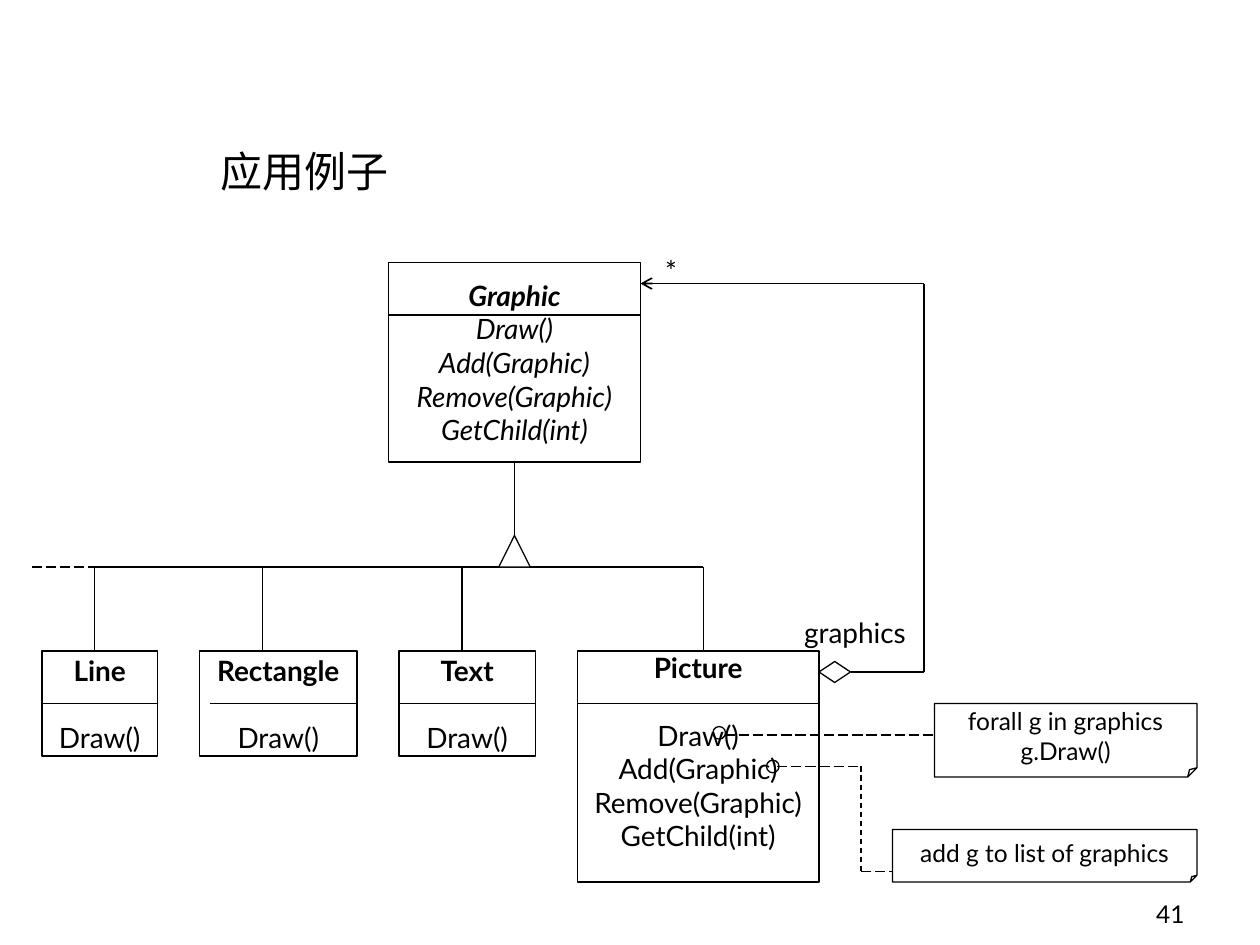
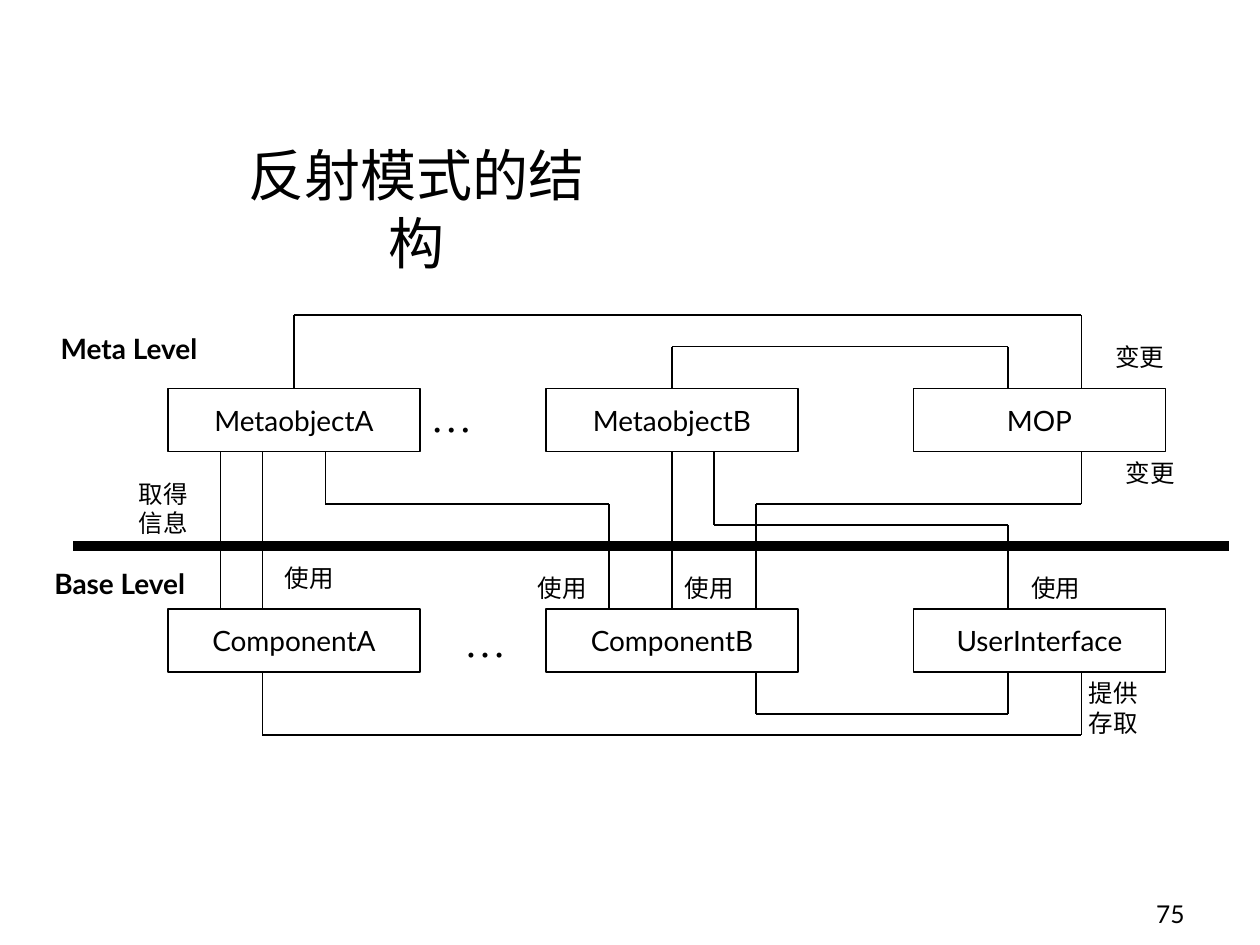
from itertools import pairwise

from lxml import etree
from pptx import Presentation
from pptx import util as u
from pptx.dml.color import RGBColor
from pptx.enum import dml, shapes, text
from pptx.oxml import ns

COLORS = {"ink": "000000", "paper": "FFFFFF"}
FONT = "Lato"
COLUMNS, ROWS = 120, 90
BODY, SMALL = 16, 14
BLANK_LINE = u.Pt(19.2)
KIND = shapes.MSO_SHAPE
DASH = dml.MSO_LINE
TOP, BOTTOM, RIGHT = 0, 2, 3

presentation = Presentation()
presentation.slide_width, presentation.slide_height = u.Inches(10), u.Inches(7.5)
CELL_WIDTH = presentation.slide_width / COLUMNS
CELL_HEIGHT = presentation.slide_height / ROWS


def add_item(slide, area, lines=(), size=BODY, kind=None, font=FONT,
             align=text.PP_ALIGN.CENTER, anchor=None):
    """Add an outlined shape of a kind, or a text box; area is column, row, columns, rows."""
    column, row, columns, rows = area
    place = [round(n) for n in (column * CELL_WIDTH, row * CELL_HEIGHT,
                                columns * CELL_WIDTH, rows * CELL_HEIGHT)]
    if kind is None:
        shape = slide.shapes.add_textbox(*place)
    else:
        shape = slide.shapes.add_shape(kind, *place)
        shape.shadow.inherit = False
        shape.fill.background()
        shape.line.color.rgb = RGBColor.from_string(COLORS["ink"])
        shape.line.width = u.Pt(0.75)
    if lines:
        frame = shape.text_frame
        frame.text = "\n".join(lines)
        frame.word_wrap = False
        frame.vertical_anchor = anchor or (text.MSO_ANCHOR.MIDDLE if kind else text.MSO_ANCHOR.TOP)
        for paragraph in frame.paragraphs:
            paragraph.alignment = align
            paragraph.font.size = u.Pt(size)
            paragraph.font.name = font
            paragraph.font.color.rgb = RGBColor.from_string(COLORS["ink"])
    return shape


def add_path(slide, points, width=0.75, dash=None, begin=None, end=None):
    """Join grid points by straight connectors; begin and end are (shape, site)."""
    connectors = []
    for (x1, y1), (x2, y2) in pairwise(points):
        connector = slide.shapes.add_connector(
            shapes.MSO_CONNECTOR.STRAIGHT, round(x1 * CELL_WIDTH), round(y1 * CELL_HEIGHT),
            round(x2 * CELL_WIDTH), round(y2 * CELL_HEIGHT))
        connector.line.color.rgb = RGBColor.from_string(COLORS["ink"])
        connector.line.width = u.Pt(width)
        if dash:
            connector.line.dash_style = dash
        etree.SubElement(connector._element.spPr, ns.qn("a:effectLst"))
        connectors.append(connector)
    if begin:
        connectors[0].begin_connect(*begin)
    if end:
        connectors[-1].end_connect(*end)
    return connectors


# Titles and page numbers
slides = []
for title, title_area, title_size, number in [
    ("应用例子", (19.8, 13.3, 18.4, 6), 24, "41"),
    ("反射模式的结构", (19.8, 12.84, 39.7, 7.5), 32, "75"),
]:
    slide = presentation.slides.add_slide(presentation.slide_layouts[6])
    add_item(slide, title_area, [title], title_size)
    page = add_item(slide, (89, 83, 25, 6), [number], SMALL,
                    align=text.PP_ALIGN.RIGHT, anchor=text.MSO_ANCHOR.BOTTOM)
    page.text_frame.word_wrap = True
    slides.append(slide)
composite, reflection = slides

# Composite: classes
operations = ["Draw()", "Add(Graphic)", "Remove(Graphic)", "GetChild(int)"]
graphic = add_item(composite, (37, 25, 24, 19), ["Graphic", *operations], kind=KIND.RECTANGLE)
for paragraph in graphic.text_frame.paragraphs:
    paragraph.font.italic = True
graphic.text_frame.paragraphs[0].font.bold = True
add_path(composite, [(37, 30), (61, 30)])

TREE_ROW, CLASS_ROW, DIVIDER_ROW = 54, 62, 67
for name, column, columns, rows, members, divider_column, branch_column in [
    ("Line", 4, 11, 10, operations[:1], 4, 9),
    ("Rectangle", 19, 15, 10, operations[:1], 20, 25),
    ("Text", 38, 13, 10, operations[:1], 38, 44),
    ("Picture", 55, 23, 22, operations, 55, 67),
]:
    box = add_item(composite, (column, CLASS_ROW, columns, rows), [name, *members],
                   kind=KIND.RECTANGLE)
    heading, first_member = box.text_frame.paragraphs[:2]
    heading.font.bold = True
    first_member.space_before = BLANK_LINE
    if members == operations:
        box.text_frame.vertical_anchor = text.MSO_ANCHOR.TOP
        box.text_frame.margin_top = 0
    add_path(composite, [(divider_column, DIVIDER_ROW), (column + columns, DIVIDER_ROW)])
    add_path(composite, [(branch_column, TREE_ROW), (branch_column, CLASS_ROW)])

# Composite: inheritance and aggregation
add_path(composite, [(9, TREE_ROW), (67, TREE_ROW)])
add_path(composite, [(3, TREE_ROW), (9, TREE_ROW)], dash=DASH.LONG_DASH)
triangle = add_item(composite, (47.5, 51, 3, 3), kind=KIND.FLOWCHART_EXTRACT)
triangle.fill.solid()
triangle.fill.fore_color.rgb = RGBColor.from_string(COLORS["paper"])
add_path(composite, [(49, 44), (49, 51)], begin=(graphic, BOTTOM), end=(triangle, TOP))

diamond = add_item(composite, (78, 63, 3, 2), kind=KIND.FLOWCHART_DECISION)
add_path(composite, [(81, 64), (88, 64), (88, 27)], begin=(diamond, RIGHT))
arrow = add_path(composite, [(88, 27), (61, 27)], width=1)[0]
arrow_line = arrow._element.spPr.find(ns.qn("a:ln"))
etree.SubElement(arrow_line, ns.qn("a:tailEnd"), type="arrow")
add_item(composite, (62, 23.6, 3.84, 4.4), ["*"])
add_item(composite, (75.4, 58, 12.6, 4.4), ["graphics"], align=text.PP_ALIGN.LEFT)

# Composite: notes
for area, lines in [
    ((89, 67, 25, 7), ["forall g in graphics", "g.Draw()"]),
    ((85, 79, 29, 5), ["add g to list of graphics"]),
]:
    note = add_item(composite, area, lines, SMALL, KIND.FOLDED_CORNER)
    geometry = note._element.spPr.find(ns.qn("a:prstGeom"))
    fold = geometry.find(ns.qn("a:avLst"))
    etree.SubElement(fold, ns.qn("a:gd"), name="adj", fmla="val 12500")
for column, row in [(67.9, 69.2), (73, 72.4)]:
    add_item(composite, (column, row, 1.2, 1.2), kind=KIND.FLOWCHART_CONNECTOR)
for points, dash in [
    ([(69, 70), (89, 70)], DASH.LONG_DASH),
    ([(74, 73), (82, 73)], DASH.LONG_DASH),
    ([(82, 73), (82, 83)], DASH.DASH),
    ([(82, 83), (85, 83)], DASH.LONG_DASH),
]:
    add_path(composite, points, dash=dash)

# Reflection: components on two levels
META_ROW, BASE_ROW, BOX_ROWS = 37, 58, 6
META_END, BASE_END = META_ROW + BOX_ROWS, BASE_ROW + BOX_ROWS
parts = {}
for row, names in [
    (META_ROW, ["MetaobjectA", "MetaobjectB", "MOP"]),
    (BASE_ROW, ["ComponentA", "ComponentB", "UserInterface"]),
]:
    for column, name in zip((16, 52, 87), names):
        parts[name] = add_item(reflection, (column, row, 24, BOX_ROWS), [name],
                               kind=KIND.RECTANGLE)

add_path(reflection, [(28, META_ROW), (28, 30), (103, 30), (103, META_ROW)],
         begin=(parts["MetaobjectA"], TOP))
add_path(reflection, [(64, META_ROW), (64, 33), (96, 33), (96, META_ROW)],
         begin=(parts["MetaobjectB"], TOP))
add_path(reflection, [(64, META_END), (64, BASE_ROW)],
         begin=(parts["MetaobjectB"], BOTTOM), end=(parts["ComponentB"], TOP))
for points in [
    [(21, META_END), (21, BASE_ROW)],
    [(25, META_END), (25, BASE_ROW)],
    [(31, META_END), (31, 48), (58, 48), (58, BASE_ROW)],
    [(68, META_END), (68, 50), (96, 50), (96, BASE_ROW)],
    [(103, META_END), (103, 48), (72, 48), (72, BASE_ROW)],
    [(25, BASE_END), (25, 70), (103, 70), (103, BASE_END)],
    [(72, BASE_END), (72, 68), (96, 68), (96, BASE_END)],
]:
    add_path(reflection, points)
add_path(reflection, [(7, 52), (117, 52)], width=6)

# Reflection: labels
for name, column, row in [("Meta Level", 4.6, 31), ("Base Level", 4, 53.4)]:
    level = add_item(reflection, (column, row, 16, 4.4), [name], align=text.PP_ALIGN.LEFT)
    level.text_frame.paragraphs[0].font.bold = True
for column, row, lines in [
    (12, 45, ["取得", "信息"]),
    (25.9, 53, ["使用"]),
    (50, 54, ["使用"]),
    (64, 54, ["使用"]),
    (97, 54, ["使用"]),
    (105, 32, ["变更"]),
    (106, 43, ["变更"]),
    (102.5, 64, ["提供", "存取"]),
]:
    add_item(reflection, (column, row, 7.1, 1.2 + 2.8 * len(lines)), lines, SMALL)
for column, row in [(39.8, 36.6), (43, 58)]:
    add_item(reflection, (column, row, 6.4, 6), ["…"], 24, font="Times New Roman")

presentation.save("out.pptx")
